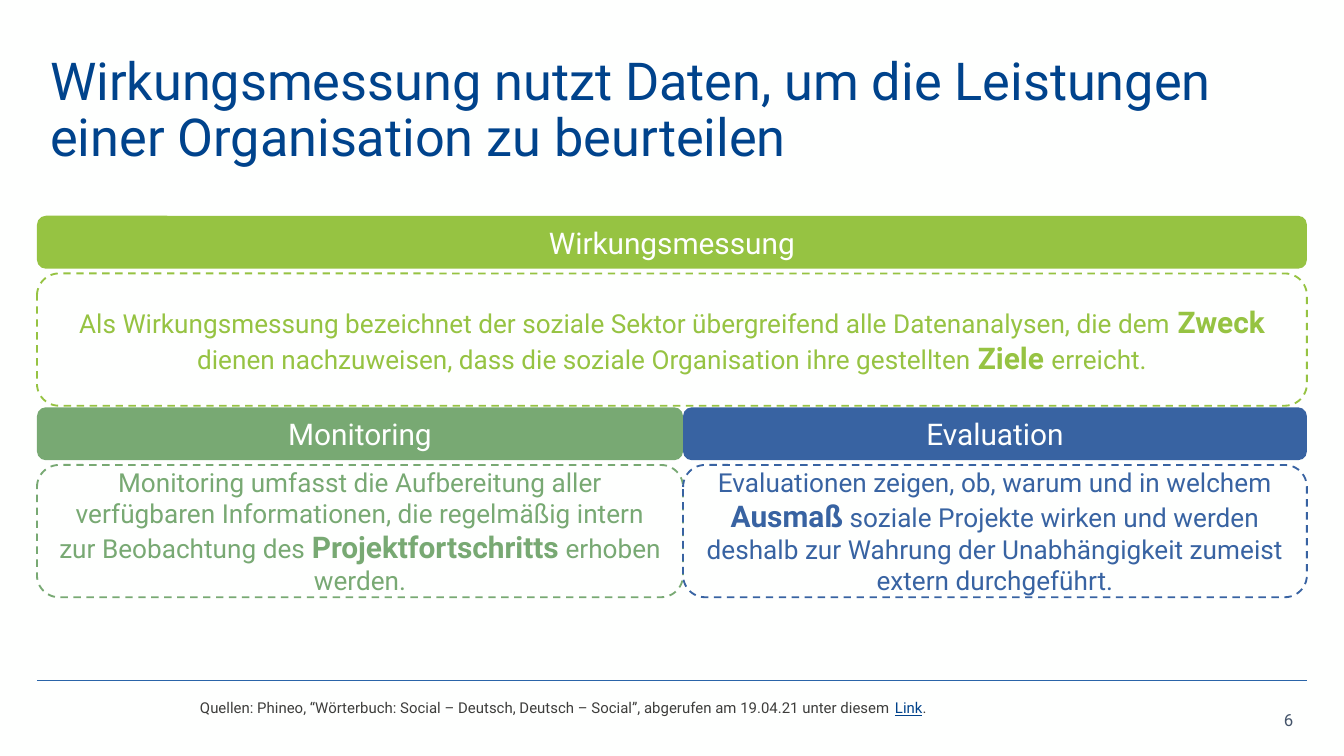
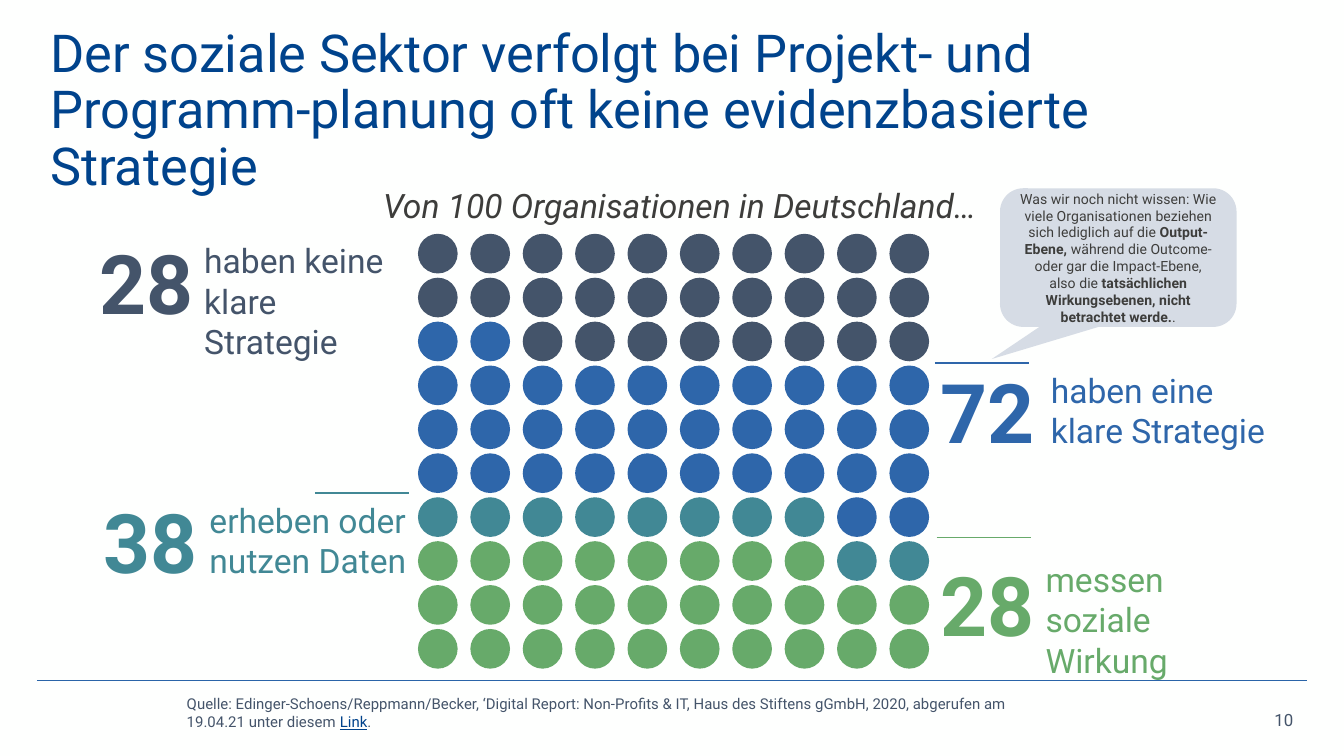
from dataclasses import dataclass

from lxml import etree
from pptx import Presentation
from pptx.dml.color import RGBColor as RGB
from pptx.enum.dml import MSO_LINE as Dash
from pptx.enum.shapes import MSO_CONNECTOR as Connector, MSO_SHAPE as Shape
from pptx.enum.text import MSO_ANCHOR as Anchor, PP_ALIGN as Align
from pptx.oxml.ns import qn
from pptx.util import Cm, Pt


@dataclass(frozen=True)
class Theme:
    font: str = "Roboto"
    paper: str = "FEFFFE"
    title: str = "00438C"
    rule: str = "2A64A8"
    link: str = "00428B"
    ink: str = "3D3D3B"
    slate: str = "44546A"
    lime: str = "96C342"
    sage: str = "78A973"
    navy: str = "3863A2"
    blue: str = "2E66AA"
    teal: str = "418895"
    green: str = "67AA6A"
    callout: str = "D6DCE5"
    title_size: float = 28
    figure_size: float = 44
    label_size: float = 18
    heading_size: float = 16
    body_size: float = 14
    page_size: float = 9
    source_size: float = 8
    note_size: float = 7.5


theme = Theme()


def write(shape, paragraphs, color, size, align=Align.LEFT, anchor=Anchor.TOP, spacing=None):
    frame = shape.text_frame
    frame.word_wrap = True
    frame.vertical_anchor = anchor
    for number, runs in enumerate(paragraphs):
        paragraph = frame.add_paragraph() if number else frame.paragraphs[0]
        paragraph.alignment = align
        if spacing:
            paragraph.line_spacing = spacing
        for words, look in runs:
            run = paragraph.add_run()
            run.text = words
            font = run.font
            font.name = theme.font
            font.size = Pt(look.get("size", size))
            font.color.rgb = RGB.from_string(look.get("color", color))
            font.bold = look.get("bold", False)
            font.italic = look.get("italic", False)
            font.underline = look.get("underline", False)


def draw_rule(slide, left, right, y, color, width):
    rule = slide.shapes.add_connector(Connector.STRAIGHT, Cm(left), Cm(y), Cm(right), Cm(y))
    rule.line.color.rgb = RGB.from_string(color)
    rule.line.width = Pt(width)
    etree.SubElement(rule._element.spPr, qn("a:effectLst"))


plain = {}
bold = {"bold": True}
strong = {"bold": True, "size": theme.heading_size}
linked = {"color": theme.link, "underline": True}

deck = Presentation()
deck.slide_width, deck.slide_height = Cm(25.4), Cm(14.29)

pages = [
    ("Wirkungsmessung nutzt Daten, um die Leistungen einer Organisation zu beurteilen", "6",
     "Quellen: Phineo, “Wörterbuch: Social – Deutsch, Deutsch – Social”, "
     "abgerufen am 19.04.21 unter diesem ", (3.53, 13.08, 16.18, 0.6), theme.ink),
    ("Der soziale Sektor verfolgt bei Projekt- und Programm-planung oft keine "
     "evidenzbasierte Strategie", "10",
     "Quelle: Edinger-Schoens/Reppmann/Becker, ‘Digital Report: Non-Profits & IT, "
     "Haus des Stiftens gGmbH, 2020, abgerufen am 19.04.21 unter diesem ",
     (3.28, 13.01, 16.18, 0.94), theme.slate),
]
slides = []
for title, page_number, source, source_box, source_color in pages:
    slide = deck.slides.add_slide(deck.slide_layouts[6])
    slides.append(slide)
    slide.background.fill.solid()
    slide.background.fill.fore_color.rgb = RGB.from_string(theme.paper)
    draw_rule(slide, 0.7, 24.7, 12.86, theme.rule, 0.5)
    page_box = slide.shapes.add_textbox(Cm(23.27), Cm(13.23), Cm(1.42), Cm(0.76))
    write(page_box, [[(page_number, plain)]], theme.slate, theme.page_size,
          Align.RIGHT, Anchor.MIDDLE)
    title_box = slide.shapes.add_textbox(Cm(0.7), Cm(0.73), Cm(24), Cm(2.76))
    write(title_box, [[(title, plain)]], theme.title, theme.title_size,
          anchor=Anchor.MIDDLE, spacing=0.9)
    citation = slide.shapes.add_textbox(*map(Cm, source_box))
    write(citation, [[(source, plain), ("Link", linked), (".", plain)]],
          source_color, theme.source_size)

definitions, survey = slides

terms = [
    ("Wirkungsmessung", 0.7, 4.08, 24, theme.lime, [
        ("Als Wirkungsmessung bezeichnet der soziale Sektor übergreifend alle "
         "Datenanalysen, die dem ", plain),
        ("Zweck", strong),
        (" dienen nachzuweisen, dass die soziale Organisation ihre gestellten ", plain),
        ("Ziele ", strong),
        ("erreicht.", plain)]),
    ("Monitoring", 0.7, 7.7, 12.21, theme.sage, [
        ("Monitoring umfasst die Aufbereitung aller verfügbaren Informationen, die "
         "regelmäßig intern zur Beobachtung des ", plain),
        ("Projektfortschritts", strong),
        (" erhoben werden.", plain)]),
    ("Evaluation", 12.91, 7.7, 11.79, theme.navy, [
        ("Evaluationen zeigen, ob, warum und in welchem ", plain),
        ("Ausmaß", strong),
        (" soziale Projekte wirken und werden deshalb zur Wahrung der Unabhängigkeit "
         "zumeist extern durchgeführt.", plain)]),
]
for term, left, top, width, color, meaning in terms:
    explanation = definitions.shapes.add_shape(
        Shape.ROUNDED_RECTANGLE, Cm(left), Cm(top + 1.09), Cm(width), Cm(2.5))
    explanation.shadow.inherit = False
    explanation.fill.background()
    explanation.line.color.rgb = RGB.from_string(color)
    explanation.line.width = Pt(1)
    explanation.line.dash_style = Dash.DASH
    write(explanation, [meaning], color, theme.body_size, Align.CENTER, Anchor.MIDDLE)

    heading = definitions.shapes.add_shape(
        Shape.ROUNDED_RECTANGLE, Cm(left), Cm(top), Cm(width), Cm(1))
    heading.shadow.inherit = False
    heading.fill.solid()
    heading.fill.fore_color.rgb = RGB.from_string(color)
    heading.line.fill.background()
    write(heading, [[(term, plain)]], theme.paper, theme.heading_size,
          Align.CENTER, Anchor.MIDDLE)

organisations = [theme.slate] * 28 + [theme.blue] * 34 + [theme.teal] * 10 + [theme.green] * 28
for index, color in enumerate(organisations):
    row, from_right = divmod(index, 10)
    dot = survey.shapes.add_shape(
        Shape.OVAL, Cm(7.9 + 0.99 * (9 - from_right)), Cm(4.42 + 0.83 * row), Cm(0.75), Cm(0.75))
    dot.shadow.inherit = False
    dot.fill.solid()
    dot.fill.fore_color.rgb = RGB.from_string(color)
    dot.line.fill.background()

findings = [
    ("28", 1.63, 4.27, ["haben keine klare Strategie"], 3.61, 4.42, 4.47, theme.slate),
    ("72", 17.53, 6.71, ["haben eine klare Strategie"], 19.61, 6.86, 4.78, theme.blue),
    ("38", 1.7, 9.17, ["erheben oder", "nutzen Daten"], 3.71, 9.32, 4.37, theme.teal),
    ("28", 17.53, 10.36, ["messen soziale Wirkung"], 19.51, 10.44, 4.7, theme.green),
]
for count, left, top, lines, label_left, label_top, label_width, color in findings:
    figure = survey.shapes.add_textbox(Cm(left), Cm(top), Cm(2.6), Cm(2.13))
    write(figure, [[(count, bold)]], color, theme.figure_size)
    label = survey.shapes.add_textbox(Cm(label_left), Cm(label_top), Cm(label_width), Cm(1.8))
    write(label, [[(line, plain)] for line in lines], color, theme.label_size)

lead = survey.shapes.add_textbox(Cm(6.83), Cm(3.38), Cm(12.04), Cm(1.02))
write(lead, [[("Von 100 Organisationen in Deutschland…", {"italic": True})]],
      theme.ink, theme.label_size, Align.CENTER)

open_question = survey.shapes.add_shape(
    Shape.ROUNDED_RECTANGULAR_CALLOUT, Cm(18.9), Cm(3.56), Cm(4.47), Cm(2.62))
open_question.adjustments[0] = -0.535
open_question.adjustments[1] = 0.732
open_question.adjustments[2] = 0.167
open_question.shadow.inherit = False
open_question.fill.solid()
open_question.fill.fore_color.rgb = RGB.from_string(theme.callout)
open_question.line.fill.background()
write(open_question, [[
    ("Was wir noch nicht wissen: Wie viele Organisationen beziehen sich lediglich auf die ", plain),
    ("Output-Ebene, ", bold),
    ("während die Outcome- oder gar die Impact-Ebene, also die ", plain),
    ("tatsächlichen Wirkungsebenen, nicht betrachtet werde.", bold),
    (".", plain)]], theme.ink, theme.note_size, Align.CENTER, Anchor.MIDDLE)

for left, y, color in [(5.95, 9.32, theme.teal), (17.67, 6.86, theme.blue),
                       (17.7, 10.16, theme.green)]:
    draw_rule(survey, left, left + 1.78, y, color, 1)

deck.save("out.pptx")
